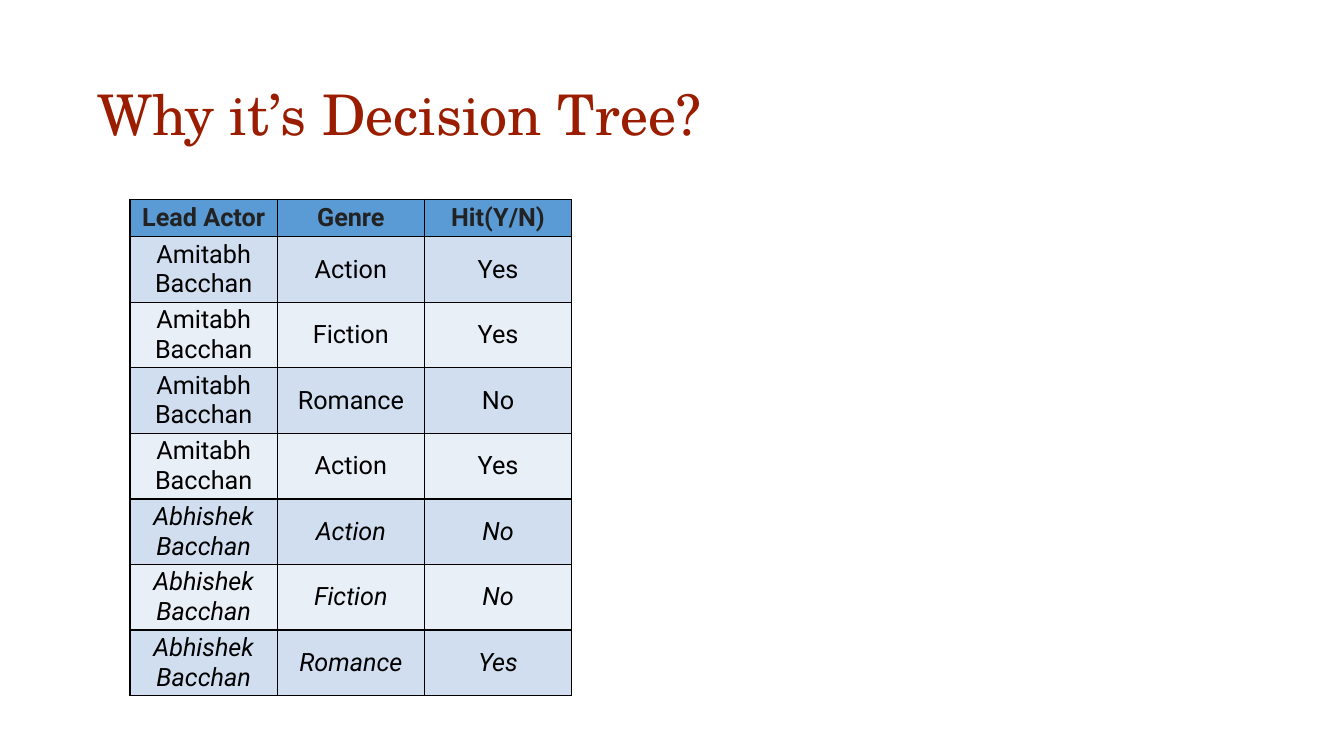
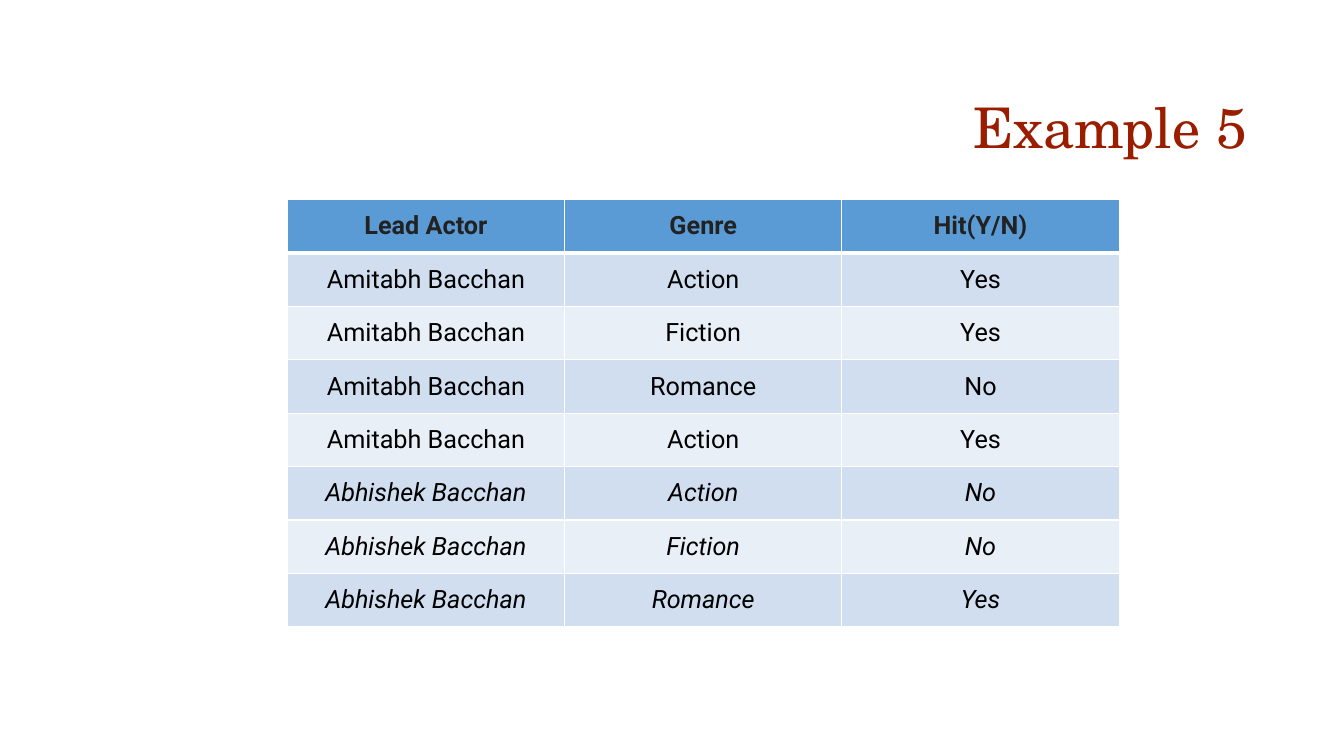
from dataclasses import dataclass

from lxml import etree
from pptx import Presentation
from pptx.dml.color import RGBColor
from pptx.enum.text import MSO_ANCHOR, PP_ALIGN
from pptx.oxml.ns import qn
from pptx.util import Inches, Pt

LEFT, CENTER, RIGHT = PP_ALIGN.LEFT, PP_ALIGN.CENTER, PP_ALIGN.RIGHT
MIDDLE = MSO_ANCHOR.MIDDLE

RED = RGBColor(0x9A, 0x1D, 0x00)
BLUE = RGBColor(0x5B, 0x9B, 0xD5)
BANDS = (RGBColor(0xD0, 0xDE, 0xEF), RGBColor(0xE9, 0xEF, 0xF7))
INK = RGBColor(0x22, 0x22, 0x22)
BLACK = RGBColor(0x00, 0x00, 0x00)
WHITE = RGBColor(0xFF, 0xFF, 0xFF)

TITLE_FONT = {"name": "TeX Gyre Schola", "size": Pt(40)}
CELL_FONT = {"name": "Roboto", "size": Pt(18)}
CELL_FORM = {
    "vertical_anchor": MIDDLE,
    "margin_left": Inches(0.01),
    "margin_right": Inches(0.01),
    "margin_top": Inches(0.01),
    "margin_bottom": Inches(0.01),
}
TITLE_FORM = {
    "word_wrap": True,
    "vertical_anchor": MIDDLE,
    "margin_left": Inches(0.05),
    "margin_right": Inches(0.05),
    "margin_top": Inches(0.05),
    "margin_bottom": Inches(0.05),
}

HEADS = ("Lead Actor", "Genre", "Hit(Y/N)")
SENIOR, JUNIOR = "Amitabh Bacchan", "Abhishek Bacchan"
FILMS = (
    (SENIOR, "Action", "Yes"),
    (SENIOR, "Fiction", "Yes"),
    (SENIOR, "Romance", "No"),
    (SENIOR, "Action", "Yes"),
    (JUNIOR, "Action", "No"),
    (JUNIOR, "Fiction", "No"),
    (JUNIOR, "Romance", "Yes"),
)


@dataclass(frozen=True)
class Page:
    """Title and film table of one slide; lengths in inches, rules in points."""
    title: str
    align: PP_ALIGN
    title_top: float
    left: float
    col: float
    head: float
    row: float
    line: RGBColor
    head_rule: float


PAGES = (
    Page("Why it’s Decision Tree?", LEFT, 0.4, 1.29, 1.46, 0.37, 0.65, BLACK, 1),
    Page("Example 5", RIGHT, 0.53, 2.85, 2.75, 0.53, 0.53, WHITE, 3),
)


def apply(target, form: dict) -> None:
    for name, value in form.items():
        setattr(target, name, value)


def add_rule(cell, side: str, color: RGBColor, width: float) -> None:
    """Draw one border of a cell; side is L, R, T or B."""
    line = etree.SubElement(cell._tc.get_or_add_tcPr(), qn(f"a:ln{side}"), w=str(Pt(width)))
    fill = etree.SubElement(line, qn("a:solidFill"))
    etree.SubElement(fill, qn("a:srgbClr"), val=str(color))


def add_title(slide, page: Page) -> None:
    box = slide.shapes.add_textbox(
        Inches(0.92), Inches(page.title_top), Inches(11.5), Inches(1.45))
    apply(box.text_frame, TITLE_FORM)
    para = box.text_frame.paragraphs[0]
    para.text, para.alignment = page.title, page.align
    apply(para.font, TITLE_FONT)
    para.font.color.rgb = RED


def fill_cell(cell, text: str, row: int, page: Page, italic: bool) -> None:
    head = row == 0
    rules = {
        "L": 1,
        "R": 1,
        "T": page.head_rule if row == 1 else 1,
        "B": page.head_rule if head else 1,
    }
    for side, width in rules.items():
        add_rule(cell, side, page.line, width)
    cell.fill.solid()
    cell.fill.fore_color.rgb = BLUE if head else BANDS[(row - 1) % 2]
    apply(cell, CELL_FORM)
    para = cell.text_frame.paragraphs[0]
    para.text, para.alignment = text, CENTER
    apply(para.font, {**CELL_FONT, "bold": head, "italic": italic})
    para.font.color.rgb = INK if head else BLACK


def add_films(slide, page: Page) -> None:
    rows = (HEADS, *FILMS)
    table = slide.shapes.add_table(
        len(rows), len(HEADS), Inches(page.left), Inches(1.98),
        Inches(page.col * len(HEADS)),
        Inches(page.head + page.row * len(FILMS))).table
    for column in table.columns:
        column.width = Inches(page.col)
    for r, texts in enumerate(rows):
        table.rows[r].height = Inches(page.row if r else page.head)
        for c, text in enumerate(texts):
            fill_cell(table.cell(r, c), text, r, page, texts[0] == JUNIOR)


def main() -> None:
    deck = Presentation()
    deck.slide_width, deck.slide_height = Inches(13.33), Inches(7.5)
    for page in PAGES:
        slide = deck.slides.add_slide(deck.slide_layouts[6])
        add_title(slide, page)
        add_films(slide, page)
    deck.save("out.pptx")


if __name__ == "__main__":
    main()
